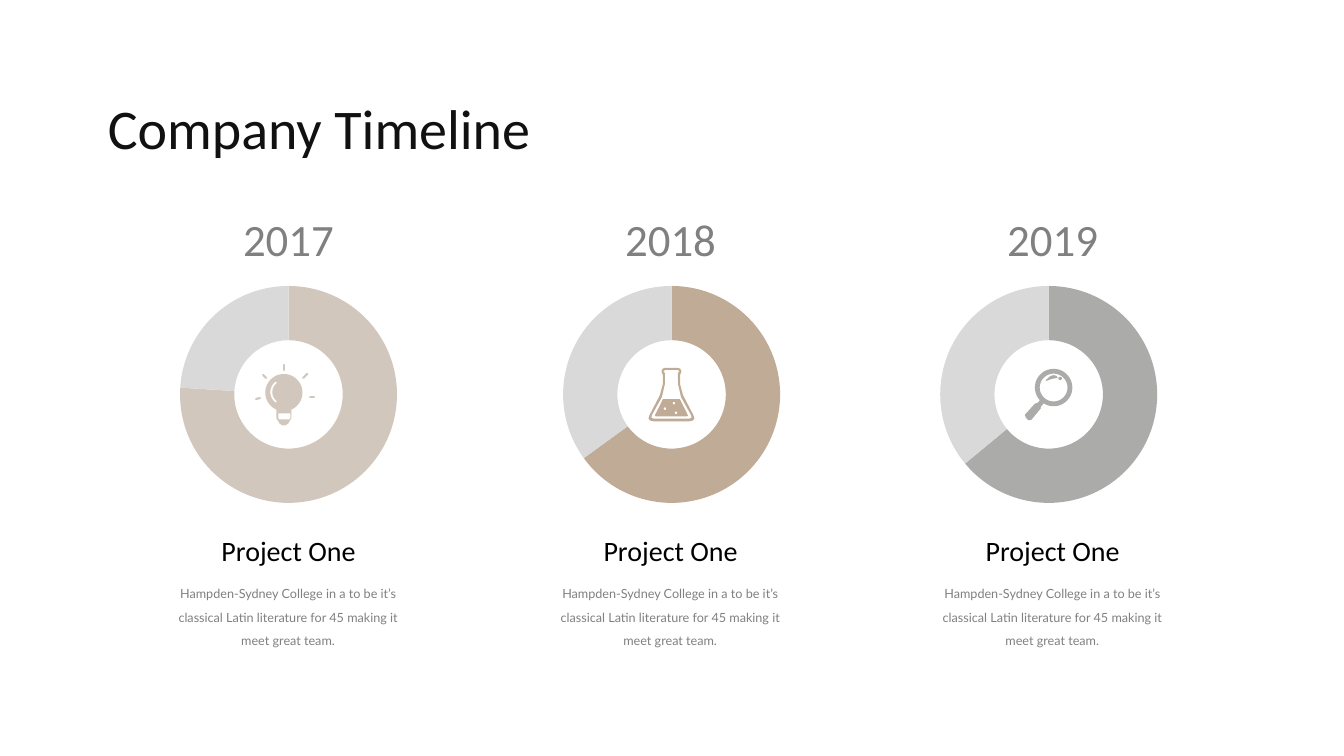
import math

import lxml.etree
import pptx
import pptx.chart.data
import pptx.dml.color
import pptx.enum.chart
import pptx.enum.shapes
import pptx.enum.text
import pptx.oxml.ns
import pptx.util

PX = 914400 / 100.8
RGBColor = pptx.dml.color.RGBColor
INK = RGBColor(0x11, 0x11, 0x11)
BLACK = RGBColor(0, 0, 0)
GREY = RGBColor(0x80, 0x80, 0x80)
LIGHT = RGBColor(0xD9, 0xD9, 0xD9)
SAND = RGBColor(0xD2, 0xC7, 0xBC)
TAN = RGBColor(0xC0, 0xAB, 0x96)
STONE = RGBColor(0xAB, 0xAC, 0xAA)
LEFT = pptx.enum.text.PP_ALIGN.LEFT
CENTER = pptx.enum.text.PP_ALIGN.CENTER
CENTER_Y = 395
RING = 217


def px(length):
    return pptx.util.Emu(round(length * PX))


def arc(x, y, radius, start=0, end=360):
    """Points along an arc; angles run clockwise from the right, in degrees."""
    steps = max(12, abs(end - start) // 6)
    angles = [math.radians(start + (end - start) * i / steps) for i in range(steps + 1)]
    return [(round(x + radius * math.cos(a)), round(y + radius * math.sin(a))) for a in angles]


def mirrored(axis, profile):
    """Close a profile of (half width, y) pairs symmetrically about a vertical axis."""
    right = [(axis + half, y) for half, y in profile]
    return right + [(axis - half, y) for half, y in reversed(profile)]


# Icon outlines are in tenths of a px from the ring centre. Each outline is a
# list of contours: the first is the silhouette, the others are holes in it.
BULB = [[
    arc(-52, -24, 186, 114, 426) + mirrored(-52, [(75, 233), (55, 264), (45, 284), (15, 304)]),
    mirrored(-47, [(61, 183), (61, 233), (51, 243)]),
    arc(-57, -29, 131, 125, 235) + arc(-57, -29, 111, 235, 125),
]]
BULB_RAYS = [(284, 365, 284, 370), (263, 375, 266, 378), (256, 399, 260, 398),
             (310, 397, 314, 397), (307, 374, 303, 378)]
FLASK = [
    [mirrored(-7, [(66, -271), (88, -262), (100, -236), (87, -200), (87, -105), (115, 1),
                   (220, 203), (230, 235), (215, 256), (180, 263)]),
     mirrored(-7, [(65, -251), (80, -233), (65, -220), (66, -108), (96, 22),
                   (197, 203), (200, 230), (180, 236)])],
    [mirrored(-7, [(85, 42), (155, 183), (165, 205), (155, 215)]),
     arc(39, 178, 13), arc(18, 82, 13), arc(-72, 137, 13)],
]
MAGNIFIER = [
    [arc(44, -74, 187), arc(44, -74, 139)],
    [[(-88, 122), (-128, 92), (-77, 32), (-37, 62)]],
    [[(-178, 248), (-208, 253), (-229, 233), (-244, 203), (-239, 193), (-148, 92),
      (-133, 82), (-118, 82), (-88, 112), (-83, 132)]],
    [[(84, -170), (23, -160), (-27, -140), (-35, -148), (13, -190), (44, -198), (75, -190)]],
    [arc(109, -165, 17)],
]


class TimelineSlide:
    def __init__(self, deck):
        self.page = deck.slides.add_slide(deck.slide_layouts[6])
        self.shapes = self.page.shapes

    def text(self, x, y, width, height, lines, size, color, font="Calibri",
             align=CENTER, spacing=None):
        box = self.shapes.add_textbox(px(x), px(y), px(width), px(height))
        frame = box.text_frame
        frame.word_wrap = True
        frame.text = "\n".join(lines)
        for para in frame.paragraphs:
            para.alignment = align
            if spacing:
                para.line_spacing = pptx.util.Pt(spacing)
            para.font.name = font
            para.font.size = pptx.util.Pt(size)
            para.font.color.rgb = color

    def doughnut(self, x, y, width, height, share, color):
        data = pptx.chart.data.CategoryChartData()
        data.categories = ["1", "2", "3", "4"]
        data.add_series("Series 1", (None, None, share, 100 - share))
        chart = self.shapes.add_chart(pptx.enum.chart.XL_CHART_TYPE.DOUGHNUT, px(x), px(y),
                                      px(width), px(height), data).chart
        chart.has_legend = False
        chart.has_title = False
        chart.font.name = "Montserrat"
        chart.font.size = pptx.util.Pt(10)
        chart.font.color.rgb = BLACK
        plot = chart.plots[0]
        plot.vary_by_categories = True
        for index, fill in ((2, color), (3, LIGHT)):
            point = plot.series[0].points[index].format
            point.fill.solid()
            point.fill.fore_color.rgb = fill
            point.line.fill.background()
        qn = pptx.oxml.ns.qn
        area = chart.element.find(".//" + qn("c:plotArea"))
        area.find(".//" + qn("c:holeSize")).set("val", "60")
        for old in area.findall(qn("c:layout")):
            area.remove(old)
        layout = lxml.etree.Element(qn("c:layout"))
        area.insert(0, layout)
        manual = lxml.etree.SubElement(layout, qn("c:manualLayout"))
        ring_width, ring_height = RING / width, RING / height
        for tag, value in (("layoutTarget", "inner"), ("xMode", "edge"), ("yMode", "edge"),
                           ("x", (1 - ring_width) / 2), ("y", (1 - ring_height) / 2),
                           ("w", ring_width), ("h", ring_height)):
            lxml.etree.SubElement(manual, qn("c:" + tag)).set("val", str(value))

    def icon(self, x, y, outlines, color):
        for contours in outlines:
            builder = self.shapes.build_freeform(*contours[0][0], scale=PX / 10)
            builder.add_line_segments(contours[0][1:], close=True)
            for hole in contours[1:]:
                builder.move_to(*hole[0])
                builder.add_line_segments(hole[1:], close=True)
            shape = builder.convert_to_shape(px(x), px(y))
            shape.shadow.inherit = False
            shape.fill.solid()
            shape.fill.fore_color.rgb = color
            shape.line.fill.background()

    def ray(self, x1, y1, x2, y2, color):
        line = self.shapes.add_connector(pptx.enum.shapes.MSO_CONNECTOR.STRAIGHT,
                                         px(x1), px(y1), px(x2), px(y2))
        line.line.color.rgb = color
        line.line.width = pptx.util.Pt(1.5)
        properties = line.element.spPr
        properties.find(pptx.oxml.ns.qn("a:ln")).set("cap", "rnd")
        lxml.etree.SubElement(properties, pptx.oxml.ns.qn("a:effectLst"))


def main():
    deck = pptx.Presentation()
    deck.slide_width = pptx.util.Inches(13.33)
    deck.slide_height = pptx.util.Inches(7.5)
    slide = TimelineSlide(deck)
    slide.text(98, 93, 691, 75, ["Company Timeline"], 40, INK, align=LEFT, spacing=45)

    summary = ["Hampden-Sydney College in a to be it’s",
               "classical Latin literature for 45 making it meet great team."]
    projects = [("2017", 76, SAND, 163, BULB), ("2018", 65, TAN, 546, FLASK),
                ("2019", 64, STONE, 923, MAGNIFIER)]
    for column, (year, share, color, chart_x, outlines) in enumerate(projects):
        text_x = 157 + 382 * column
        slide.doughnut(chart_x, 272, 251, 245, share, color)
        slide.icon(chart_x + 126, CENTER_Y, outlines, color)
        slide.text(text_x + 12, 207, 239, 62, [year], 32, GREY)
        slide.text(text_x + 12, 529, 239, 43, ["Project One"], 20, BLACK)
        slide.text(text_x, 572, 262, 79, summary, 9, GREY, font="Lato", spacing=17)
    for ends in BULB_RAYS:
        slide.ray(*ends, SAND)
    deck.save("out.pptx")


if __name__ == "__main__":
    main()
